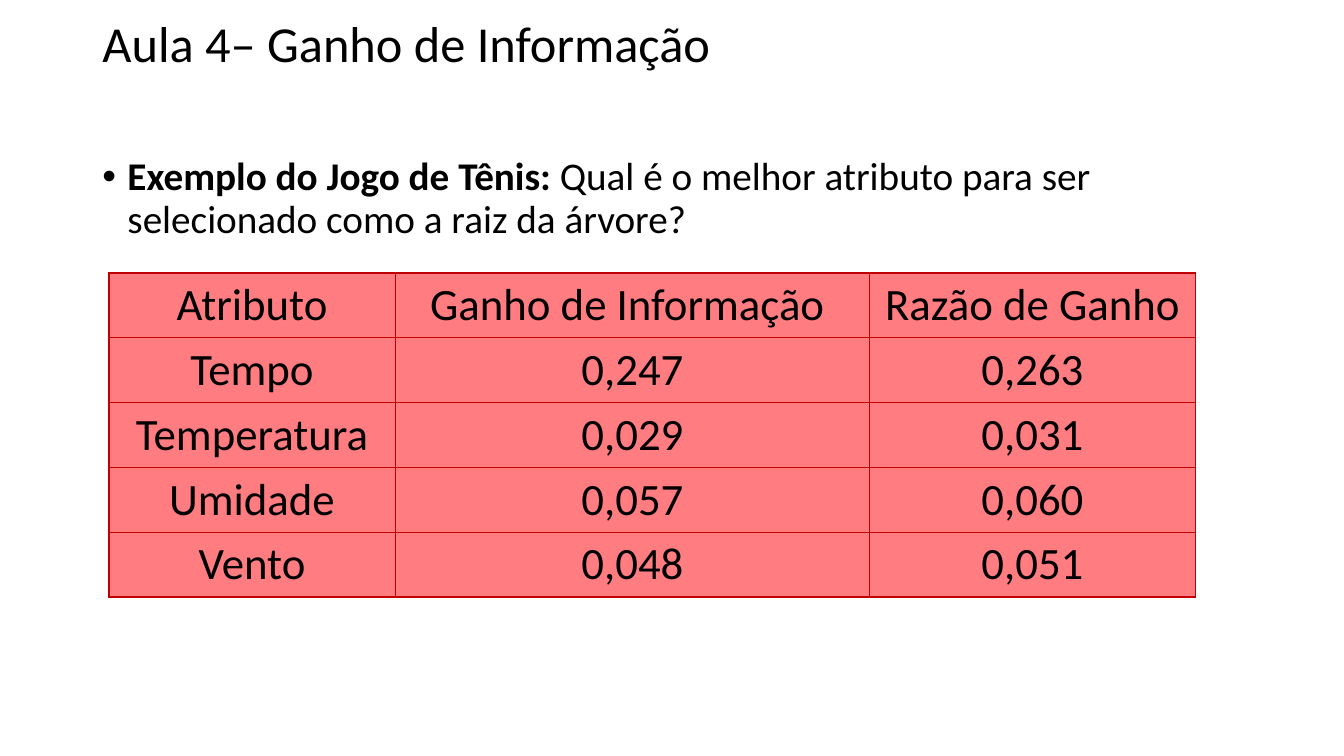
import pptx
import pptx.util
import pptx.dml.color
import pptx.enum.text
import pptx.oxml
import pptx.oxml.ns
from pptx.util import Pt


def color(hex_string):
    return pptx.dml.color.RGBColor.from_string(hex_string)


def add_run(paragraph, text, size, bold=False):
    run = paragraph.add_run()
    run.text = text
    run.font.name = "Calibri"
    run.font.size = Pt(size)
    run.font.bold = bold
    run.font.color.rgb = color("000000")


presentation = pptx.Presentation()
presentation.slide_width = Pt(960)
presentation.slide_height = Pt(540)
slide = presentation.slides.add_slide(presentation.slide_layouts[5])

# Title
title = slide.shapes.title
title.left, title.top, title.width, title.height = Pt(66), Pt(0), Pt(828), Pt(66)
title.text_frame.vertical_anchor = pptx.enum.text.MSO_ANCHOR.MIDDLE
title.text_frame.auto_size = pptx.enum.text.MSO_AUTO_SIZE.NONE
paragraph = title.text_frame.paragraphs[0]
paragraph.alignment = pptx.enum.text.PP_ALIGN.LEFT
paragraph.line_spacing = 0.9
add_run(paragraph, "Aula 4– Ganho de Informação", 36)

# Bulleted question
question = slide.shapes.add_textbox(Pt(66), Pt(108.5), Pt(828), Pt(72))
question.text_frame.word_wrap = True
paragraph = question.text_frame.paragraphs[0]
paragraph.line_spacing = 0.9
add_run(paragraph, "Exemplo do Jogo de Tênis: ", 28, bold=True)
add_run(paragraph, "Qual é o melhor atributo para ser selecionado como a raiz da árvore?", 28)
properties = paragraph._p.get_or_add_pPr()
properties.set("marL", str(Pt(18)))
properties.set("indent", str(-Pt(18)))
namespace = pptx.oxml.ns.nsdecls("a")
properties.append(pptx.oxml.parse_xml(f'<a:buFont {namespace} typeface="Arial"/>'))
properties.append(pptx.oxml.parse_xml(f'<a:buChar {namespace} char="•"/>'))

# Table of gains
rows = [
    ("Atributo", "Ganho de Informação ", "Razão de Ganho"),
    ("Tempo", "0,247", "0,263"),
    ("Temperatura", "0,029", "0,031"),
    ("Umidade", "0,057", "0,060"),
    ("Vento", "0,048", "0,051"),
]
column_widths = [204.5, 339, 232.5]
row_height = 46.3
table = slide.shapes.add_table(
    len(rows), len(column_widths), Pt(77.8), Pt(195),
    Pt(sum(column_widths)), Pt(row_height * len(rows))).table
table.first_row = False
table.horz_banding = False
for column, width in zip(table.columns, column_widths):
    column.width = Pt(width)

for row_index, row in enumerate(rows):
    for column_index, text in enumerate(row):
        cell = table.cell(row_index, column_index)
        paragraph = cell.text_frame.paragraphs[0]
        paragraph.alignment = pptx.enum.text.PP_ALIGN.CENTER
        add_run(paragraph, text, 32)
        # Borders come before the fill in the cell properties
        for side in ("lnL", "lnR", "lnT", "lnB"):
            cell._tc.get_or_add_tcPr().append(pptx.oxml.parse_xml(
                f'<a:{side} {namespace} w="{Pt(1)}"><a:solidFill>'
                f'<a:srgbClr val="C00000"/></a:solidFill></a:{side}>'))
        cell.fill.solid()
        cell.fill.fore_color.rgb = color("FF7C80")

presentation.save("out.pptx")
